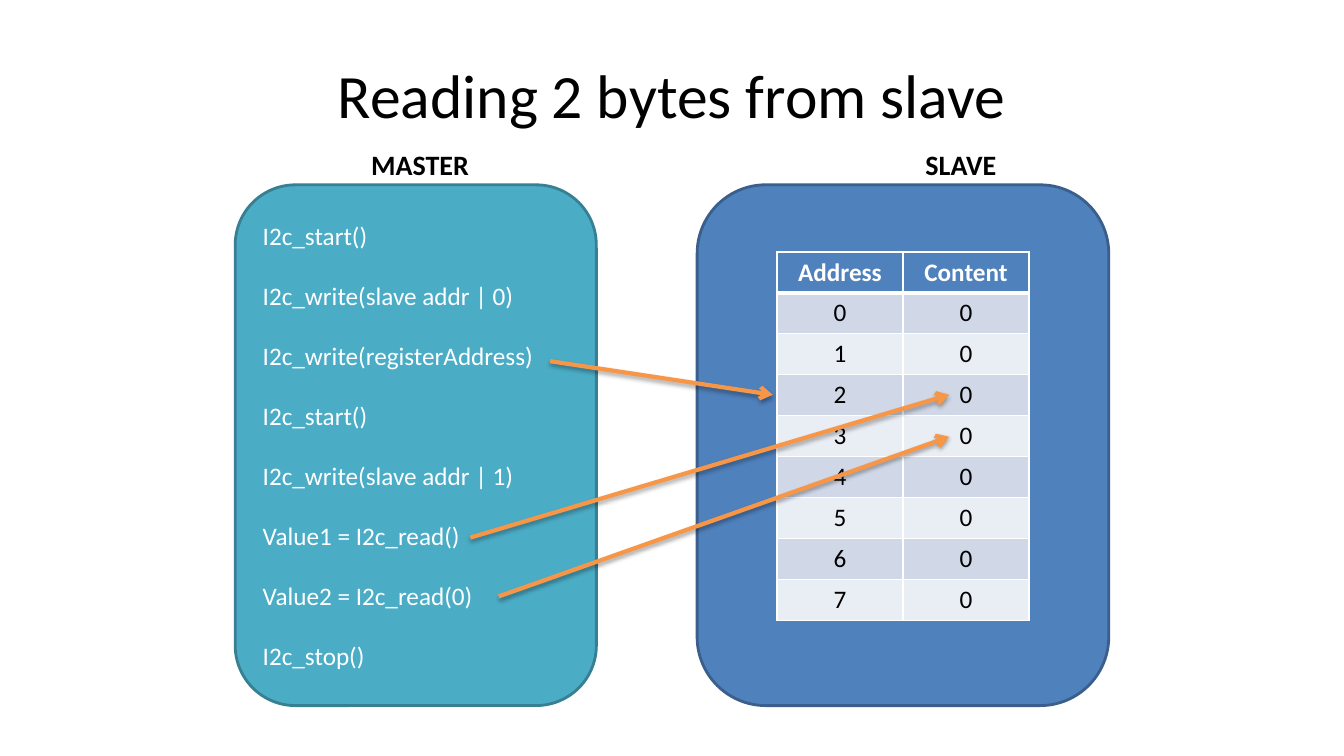
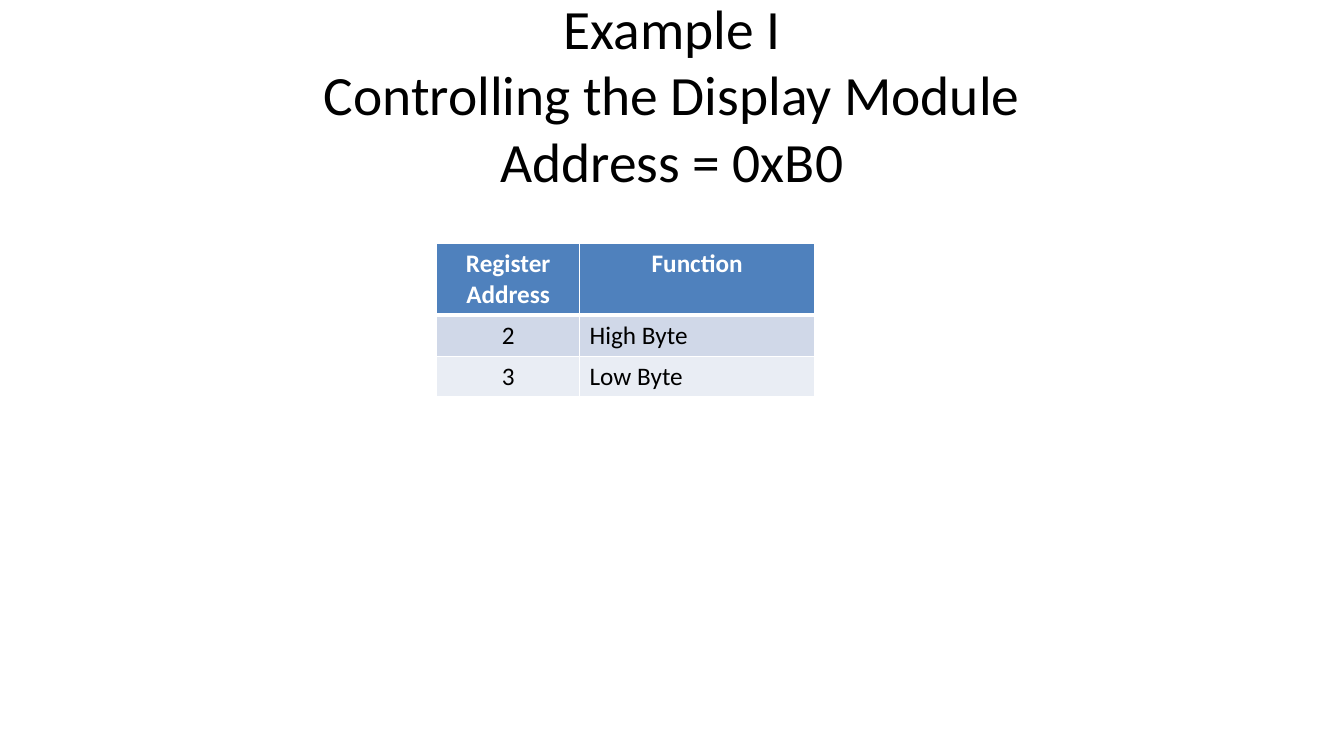
from dataclasses import dataclass

from lxml import etree
from pptx import Presentation
from pptx.dml.color import RGBColor
from pptx.enum.shapes import MSO_CONNECTOR, MSO_SHAPE
from pptx.enum.text import MSO_ANCHOR, MSO_AUTO_SIZE, PP_ALIGN
from pptx.oxml.ns import qn
from pptx.slide import Slide
from pptx.util import Emu, Pt

LEFT, CENTER = PP_ALIGN.LEFT, PP_ALIGN.CENTER
MIDDLE = MSO_ANCHOR.MIDDLE
NO_FIT, GROW = MSO_AUTO_SIZE.NONE, MSO_AUTO_SIZE.SHAPE_TO_FIT_TEXT
ROUND = MSO_SHAPE.ROUNDED_RECTANGLE
STRAIGHT = MSO_CONNECTOR.STRAIGHT

FONT = "Calibri"
HEX = {
    "black": "000000",
    "white": "FFFFFF",
    "blue": "4F81BD",
    "navy": "3A5F8C",
    "aqua": "4BACC6",
    "teal": "377F92",
    "orange": "F79646",
    "dark": "D0D8E8",
    "light": "E9EDF4",
}
TITLE_ONLY = 5
ROW = 39


@dataclass(frozen=True)
class Box:
    x: int
    y: int
    w: int
    h: int

    def emu(self) -> tuple[Emu, Emu, Emu, Emu]:
        return px(self.x), px(self.y), px(self.w), px(self.h)


@dataclass(frozen=True)
class Panel:
    box: Box
    fill: str
    edge: str
    lines: tuple[str, ...]
    label: str
    tag: Box


@dataclass(frozen=True)
class Arrow:
    start: tuple[int, int]
    end: tuple[int, int]


@dataclass(frozen=True)
class Grid:
    x: int
    y: int
    cols: tuple[int, ...]
    aligns: tuple[PP_ALIGN, ...]
    head: int
    rows: tuple[tuple[str, ...], ...]


TITLE = Box(64, 29, 1152, 120)
PANELS = (
    Panel(
        Box(224, 176, 344, 496), "aqua", "teal",
        (
            "I2c_start()",
            "I2c_write(slave addr | 0)",
            "I2c_write(registerAddress)",
            "I2c_start()",
            "I2c_write(slave addr | 1)",
            "Value1 = I2c_read()",
            "Value2 = I2c_read(0)",
            "I2c_stop()",
        ),
        "MASTER", Box(344, 136, 113, 42),
    ),
    Panel(Box(664, 176, 392, 496), "blue", "navy", (), "SLAVE", Box(872, 136, 87, 42)),
)
MEMORY = Grid(
    740, 240, (120, 120), (CENTER, CENTER), ROW,
    (("Address", "Content"), *((str(n), "0") for n in range(8))),
)
ARROWS = (
    Arrow((524, 344), (736, 376)),
    Arrow((448, 512), (904, 376)),
    Arrow((475, 568), (904, 416)),
)
DISPLAY = Grid(
    416, 232, (136, 224), (CENTER, LEFT), 68,
    (("Register Address", "Function"), ("2", "High Byte"), ("3", "Low Byte")),
)


def px(n: int) -> Emu:
    return Emu(n * 9525)


def rgb(name: str) -> RGBColor:
    return RGBColor.from_string(HEX[name])


def add_run(para, text: str, size: float, color: str, bold: bool = False) -> None:
    run = para.add_run()
    run.text = text
    font = run.font
    font.name, font.size, font.bold = FONT, Pt(size), bold
    font.color.rgb = rgb(color)


def add_title(slide: Slide, lines: tuple[str, ...], size: float) -> None:
    title = slide.shapes.title
    title.left, title.top, title.width, title.height = TITLE.emu()
    frame = title.text_frame
    frame.auto_size, frame.vertical_anchor = NO_FIT, MIDDLE
    para = frame.paragraphs[0]
    para.alignment = CENTER
    for i, line in enumerate(lines):
        if i:
            para.add_line_break()
        add_run(para, line, size, "black")


def add_panel(slide: Slide, panel: Panel) -> None:
    shape = slide.shapes.add_shape(ROUND, *panel.box.emu())
    shape.shadow.inherit = False
    shape.fill.solid()
    shape.fill.fore_color.rgb = rgb(panel.fill)
    shape.line.color.rgb = rgb(panel.edge)
    shape.line.width = Pt(2)
    frame = shape.text_frame
    frame.word_wrap, frame.vertical_anchor = True, MIDDLE
    for i, line in enumerate(panel.lines):
        para = frame.add_paragraph() if i else frame.paragraphs[0]
        para.alignment = LEFT
        if i:
            para.space_before = Pt(21.2)
        add_run(para, line, 18, "white")


def add_label(slide: Slide, panel: Panel) -> None:
    frame = slide.shapes.add_textbox(*panel.tag.emu()).text_frame
    frame.word_wrap, frame.auto_size = False, GROW
    add_run(frame.paragraphs[0], panel.label, 20, "black", True)


def add_node(parent, tag: str, **attrs: str):
    return etree.SubElement(parent, qn(tag), attrs)


def add_color(parent, name: str):
    return add_node(parent, "a:srgbClr", val=HEX[name])


def add_arrow(slide: Slide, arrow: Arrow) -> None:
    ends = (px(n) for n in (*arrow.start, *arrow.end))
    link = slide.shapes.add_connector(STRAIGHT, *ends)
    link.line.color.rgb = rgb("orange")
    link.line.width = Pt(3)
    props = link._element.spPr
    add_node(props.find(qn("a:ln")), "a:tailEnd", type="arrow")
    shade = add_node(
        add_node(props, "a:effectLst"), "a:outerShdw",
        blurRad="40000", dist="23000", dir="5400000", rotWithShape="0",
    )
    add_node(add_color(shade, "black"), "a:alpha", val="35000")


def add_edges(cell, base: int) -> None:
    """Draw white cell borders, with the bottom one base points wide."""
    props = cell._tc.get_or_add_tcPr()
    for side, wide in (("L", 1), ("R", 1), ("T", 1), ("B", base)):
        edge = add_node(props, f"a:ln{side}", w=str(Pt(wide)))
        add_color(add_node(edge, "a:solidFill"), "white")


def add_grid(slide: Slide, grid: Grid) -> None:
    count = len(grid.rows)
    box = Box(grid.x, grid.y, sum(grid.cols), grid.head + ROW * (count - 1))
    table = slide.shapes.add_table(count, len(grid.cols), *box.emu()).table
    for col, wide in zip(table.columns, grid.cols):
        col.width = px(wide)
    for r, row in enumerate(grid.rows):
        head = r == 0
        table.rows[r].height = px(grid.head if head else ROW)
        fill = "blue" if head else ("light", "dark")[r % 2]
        for c, text in enumerate(row):
            cell = table.cell(r, c)
            add_edges(cell, 3 if head else 1)
            cell.fill.solid()
            cell.fill.fore_color.rgb = rgb(fill)
            para = cell.text_frame.paragraphs[0]
            para.alignment = CENTER if head else grid.aligns[c]
            add_run(para, text, 18, "white" if head else "black", head)


def main() -> None:
    deck = Presentation()
    deck.slide_width, deck.slide_height = px(1280), px(720)
    layout = deck.slide_layouts[TITLE_ONLY]

    slide = deck.slides.add_slide(layout)
    add_title(slide, ("Reading 2 bytes from slave",), 44)
    for panel in PANELS:
        add_panel(slide, panel)
        add_label(slide, panel)
    add_grid(slide, MEMORY)
    for arrow in ARROWS:
        add_arrow(slide, arrow)

    slide = deck.slides.add_slide(layout)
    lines = ("Example I", "Controlling the Display Module", "Address = 0xB0")
    add_title(slide, lines, 39.6)
    add_grid(slide, DISPLAY)

    deck.save("out.pptx")


if __name__ == "__main__":
    main()
